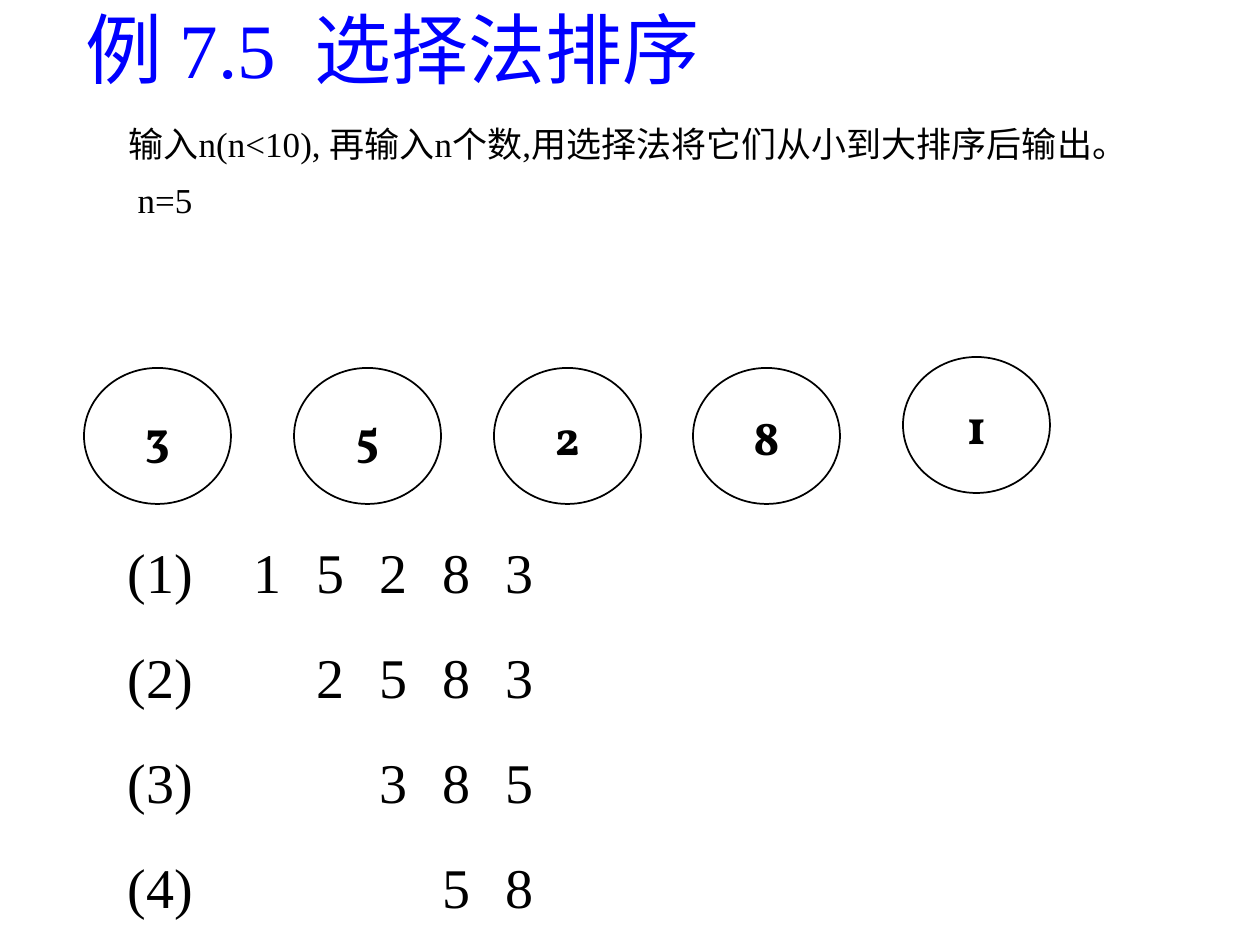
from pptx import Presentation
from pptx.dml.color import RGBColor
from pptx.enum.shapes import MSO_SHAPE
from pptx.enum.text import MSO_ANCHOR, MSO_AUTO_SIZE, PP_ALIGN
from pptx.oxml.xmlchemy import OxmlElement
from pptx.util import Pt

OVAL = MSO_SHAPE.OVAL
TOP, MIDDLE = MSO_ANCHOR.TOP, MSO_ANCHOR.MIDDLE
LEFT, CENTER = PP_ALIGN.LEFT, PP_ALIGN.CENTER
NO_FIT = MSO_AUTO_SIZE.NONE

TITLE = "例 7.5  选择法排序"
BODY = [
    ("输入n(n<10), 再输入n个数,用选择法将它们从小到大排序后输出。", 0),
    ("n=5", 9),
]
NUMBERS = [("3", 84, 368), ("5", 294, 368), ("2", 494, 368), ("8", 693, 368), ("1", 903, 357)]
PASSES = ["15283", "2583", "385", "58"]

SERIF, DIGITS = "Times New Roman", "Vollkorn"
PX = 914400 // 126
CIRCLE_W, CIRCLE_H = 147, 136
COLUMNS, FIRST_TAB, TAB_STEP = 5, 121, 56
MARGIN, HANG = 102, 39


def px(*lengths):
    return [n * PX for n in lengths]


def rgb(code):
    return RGBColor.from_string(code)


def place(s, left, top, width, height):
    s.left, s.top, s.width, s.height = px(left, top, width, height)


def frame(s, anchor=TOP, wrap=True):
    tf = s.text_frame
    tf.auto_size = NO_FIT
    tf.word_wrap = wrap
    tf.vertical_anchor = anchor
    return tf


def write(tf, text, size, font=SERIF, color="000000", bold=False, align=LEFT,
          before=0, margin=0, indent=0, tabs=()):
    p = tf.paragraphs[0]
    first = not p.runs
    if not first:
        p = tf.add_paragraph()
    p.alignment = align
    p.space_before = Pt(0 if first else before)
    pPr = p._p.get_or_add_pPr()
    pPr.set("marL", str(margin * PX))
    pPr.set("indent", str(indent * PX))
    pPr.append(OxmlElement("a:buNone"))
    if tabs:
        tab_list = OxmlElement("a:tabLst")
        for pos in tabs:
            tab = OxmlElement("a:tab")
            tab.set("pos", str(pos * PX))
            tab.set("algn", "l")
            tab_list.append(tab)
        pPr.append(tab_list)
    r = p.add_run()
    r.text = text
    r.font.name, r.font.size, r.font.bold = font, Pt(size), bold
    r.font.color.rgb = rgb(color)


def add_circle(slide, text, left, top):
    s = slide.shapes.add_shape(OVAL, *px(left, top, CIRCLE_W, CIRCLE_H))
    s.shadow.inherit = False
    s.fill.background()
    s.line.color.rgb = rgb("000000")
    s.line.width = Pt(1)
    write(frame(s, MIDDLE, False), text, 28, font=DIGITS, bold=True, align=CENTER)


def add_passes(slide):
    s = slide.shapes.add_textbox(*px(53, 525, 998, 378))
    tf = frame(s)
    tf.margin_left, tf.margin_top = px(75, 13)
    tabs = [FIRST_TAB + i * TAB_STEP for i in range(COLUMNS)]
    for number, digits in enumerate(PASSES, 1):
        skipped = "\t" * (COLUMNS - len(digits))
        row = f"({number})\t" + skipped + "\t".join(digits)
        write(tf, row, 32, before=21.5, tabs=tabs)


def main():
    prs = Presentation()
    prs.slide_width, prs.slide_height = px(1260, 945)
    slide = prs.slides.add_slide(prs.slide_layouts[1])
    title, body = slide.placeholders

    place(title, 73, 0, 1061, 95)
    write(frame(title, MIDDLE), TITLE, 44, color="0000FF")

    place(body, 53, 116, 1103, 158)
    tf = frame(body)
    for text, shift in BODY:
        write(tf, text, 20, before=8, margin=MARGIN, indent=shift - HANG)

    for number in NUMBERS:
        add_circle(slide, *number)
    add_passes(slide)
    prs.save("out.pptx")


if __name__ == "__main__":
    main()
